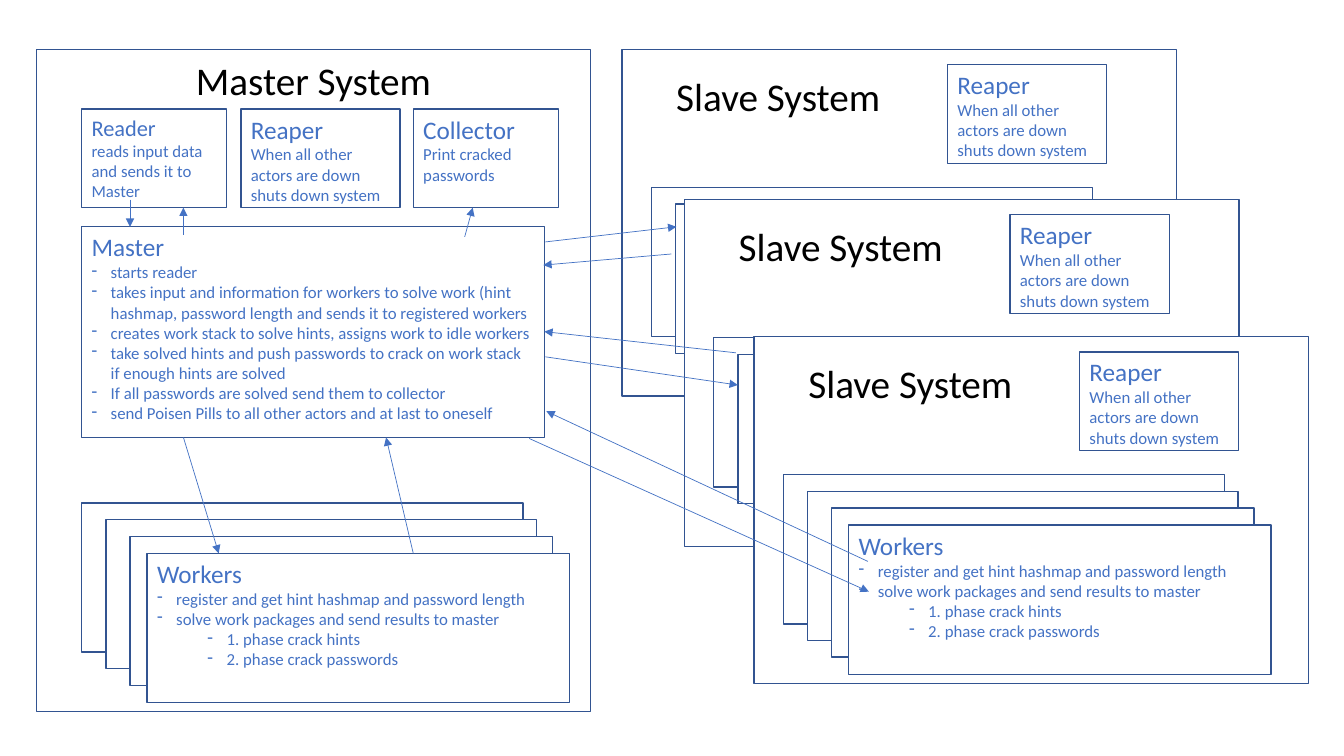
from lxml import etree
from pptx import Presentation
from pptx import util as u
from pptx.dml.color import RGBColor
from pptx.enum import shapes, text
from pptx.oxml import ns

OUTLINE = RGBColor(0x32, 0x54, 0x91)
ACCENT = RGBColor(0x44, 0x72, 0xC4)
WHITE = RGBColor(0xFF, 0xFF, 0xFF)
BLACK = RGBColor(0x00, 0x00, 0x00)
FONT = "Calibri"
COLUMNS, ROWS = 133.33, 75

REAPER = ("Reaper", [(None, "When all other actors are down shuts down system")])
WORKERS = ("Workers", [
    (0, "register and get hint hashmap and password length"),
    (0, "solve work packages and send results to master"),
    (1, "1. phase crack hints"),
    (1, "2. phase crack passwords"),
])
MASTER = ("Master", [(0, task) for task in (
    "starts reader",
    "takes input and information for workers to solve work (hint hashmap, "
    "password length and sends it to registered workers",
    "creates work stack to solve hints, assigns work to idle workers",
    "take solved hints and push passwords to crack on work stack if enough hints are solved",
    "If all passwords are solved send them to collector",
    "send Poisen Pills to all other actors and at last to oneself",
)])
READER = ("Reader", [(None, "reads input data and sends it to Master")])
COLLECTOR = ("Collector", [(None, "Print cracked passwords")])

# Column and row offset from the rearmost card, then the card's width
WORKER_CARDS = [(0, 0, 43.8), (2.4, 1.65, 42.7), (4.8, 3.3, 41.9), (6.5, 5, 41.9)]
# Left, top and number of worker cards in view
SLAVES = [(61.7, 4.9, 2), (67.9, 19.8, 2), (74.8, 33.4, 4)]
ARROWS = [
    (18.2, 23.3, 18.2, 20.6), (12.9, 19.8, 12.9, 22.5),
    (18.2, 43.4, 21.7, 54.9), (46.1, 23.5, 46.9, 20.6),
    (41, 54.9, 38.3, 43.4),
    (86.1, 55.7, 54.2, 40.8), (52.5, 43.5, 86.2, 58.7),
    (73, 35, 54, 32.9), (54.1, 35.4, 73.2, 38.2),
    (54.1, 24, 67.1, 22.5), (66.6, 25.2, 53.9, 26.3),
]


class Diagram:
    """Draws on one slide, measuring in grid columns and rows."""

    def __init__(self, presentation):
        self.column = presentation.slide_width / COLUMNS
        self.row = presentation.slide_height / ROWS
        self.slide = presentation.slides.add_slide(presentation.slide_layouts[5])

    def place(self, left, top, width, height):
        return (round(left * self.column), round(top * self.row),
                round(width * self.column), round(height * self.row))

    def style(self, paragraph, size, color):
        paragraph.font.name = FONT
        paragraph.font.size = u.Pt(size)
        paragraph.font.color.rgb = color

    def bullet(self, paragraph, level):
        paragraph.level = level
        properties = paragraph._p.get_or_add_pPr()
        properties.set("marL", str(u.Inches(0.19 + 0.5 * level)))
        properties.set("indent", str(-u.Inches(0.19)))
        dash = etree.Element(ns.qn("a:buChar"), char="-")
        properties.insert(0, dash)

    def box(self, left, top, width, height, content=None, filled=True, heading_size=18):
        """Add an outlined box; content is a heading and (bullet level, line) pairs."""
        box = self.slide.shapes.add_shape(
            shapes.MSO_SHAPE.RECTANGLE, *self.place(left, top, width, height))
        box.shadow.inherit = False
        box.line.color.rgb = OUTLINE
        box.line.width = u.Pt(1)
        if filled:
            box.fill.solid()
            box.fill.fore_color.rgb = WHITE
        else:
            box.fill.background()
        if content is None:
            return
        heading, lines = content
        frame = box.text_frame
        frame.word_wrap = True
        frame.vertical_anchor = text.MSO_ANCHOR.TOP
        paragraph = frame.paragraphs[0]
        paragraph.text = heading
        paragraph.alignment = text.PP_ALIGN.LEFT
        self.style(paragraph, heading_size, ACCENT)
        for level, line in lines:
            paragraph = frame.add_paragraph()
            paragraph.text = line
            paragraph.alignment = text.PP_ALIGN.LEFT
            self.style(paragraph, 12, ACCENT)
            if level is not None:
                self.bullet(paragraph, level)

    def caption(self, shape, words):
        frame = shape.text_frame
        frame.word_wrap = True
        frame.auto_size = text.MSO_AUTO_SIZE.NONE
        frame.vertical_anchor = text.MSO_ANCHOR.BOTTOM
        paragraph = frame.paragraphs[0]
        paragraph.text = words
        paragraph.alignment = text.PP_ALIGN.CENTER
        paragraph.line_spacing = 0.9
        self.style(paragraph, 28, BLACK)

    def title(self, left, top, width, height, words):
        title = self.slide.shapes.title
        title.left, title.top, title.width, title.height = self.place(left, top, width, height)
        self.caption(title, words)

    def label(self, left, top, width, height, words):
        label = self.slide.shapes.add_textbox(*self.place(left, top, width, height))
        self.caption(label, words)

    def workers(self, left, top, count):
        """Stack the worker cards; only the front one of a full stack has text."""
        for index, (across, down, width) in enumerate(WORKER_CARDS[:count], 1):
            content = WORKERS if index == len(WORKER_CARDS) else None
            self.box(left + across, top + down, width, 14.8, content)

    def slave_system(self, left, top, count):
        self.box(left, top, 55, 34.4)
        self.box(left + 32.3, top + 1.5, 15.8, 9.8, REAPER, filled=False)
        self.workers(left + 2.9, top + 13.7, count)
        self.label(left, top + 2.3, 31, 5.2, "Slave System")

    def master_system(self):
        self.title(3.6, 5.6, 55, 5.2, "Master System")
        self.box(3.6, 4.9, 55, 65.7, filled=False)
        self.box(8.1, 22.5, 45.9, 20.9, MASTER, filled=False)
        self.box(8.1, 10.8, 14.4, 9.8, READER, filled=False, heading_size=16)
        self.box(23.9, 10.8, 15.8, 9.8, REAPER, filled=False)
        self.box(41, 10.8, 14.4, 9.8, COLLECTOR, filled=False)
        self.workers(8.1, 49.9, len(WORKER_CARDS))

    def arrow(self, *ends):
        arrow = self.slide.shapes.add_connector(
            shapes.MSO_CONNECTOR.STRAIGHT, *self.place(*ends))
        arrow.line.color.rgb = ACCENT
        arrow.line.width = u.Pt(0.5)
        etree.SubElement(arrow.line._get_or_add_ln(), ns.qn("a:tailEnd"), type="triangle")
        etree.SubElement(arrow._element.spPr, ns.qn("a:effectLst"))


def main():
    presentation = Presentation()
    presentation.slide_width = u.Inches(13.33)
    presentation.slide_height = u.Inches(7.5)
    diagram = Diagram(presentation)
    diagram.master_system()
    for slave in SLAVES:
        diagram.slave_system(*slave)
    for ends in ARROWS:
        diagram.arrow(*ends)
    presentation.save("out.pptx")


if __name__ == "__main__":
    main()
